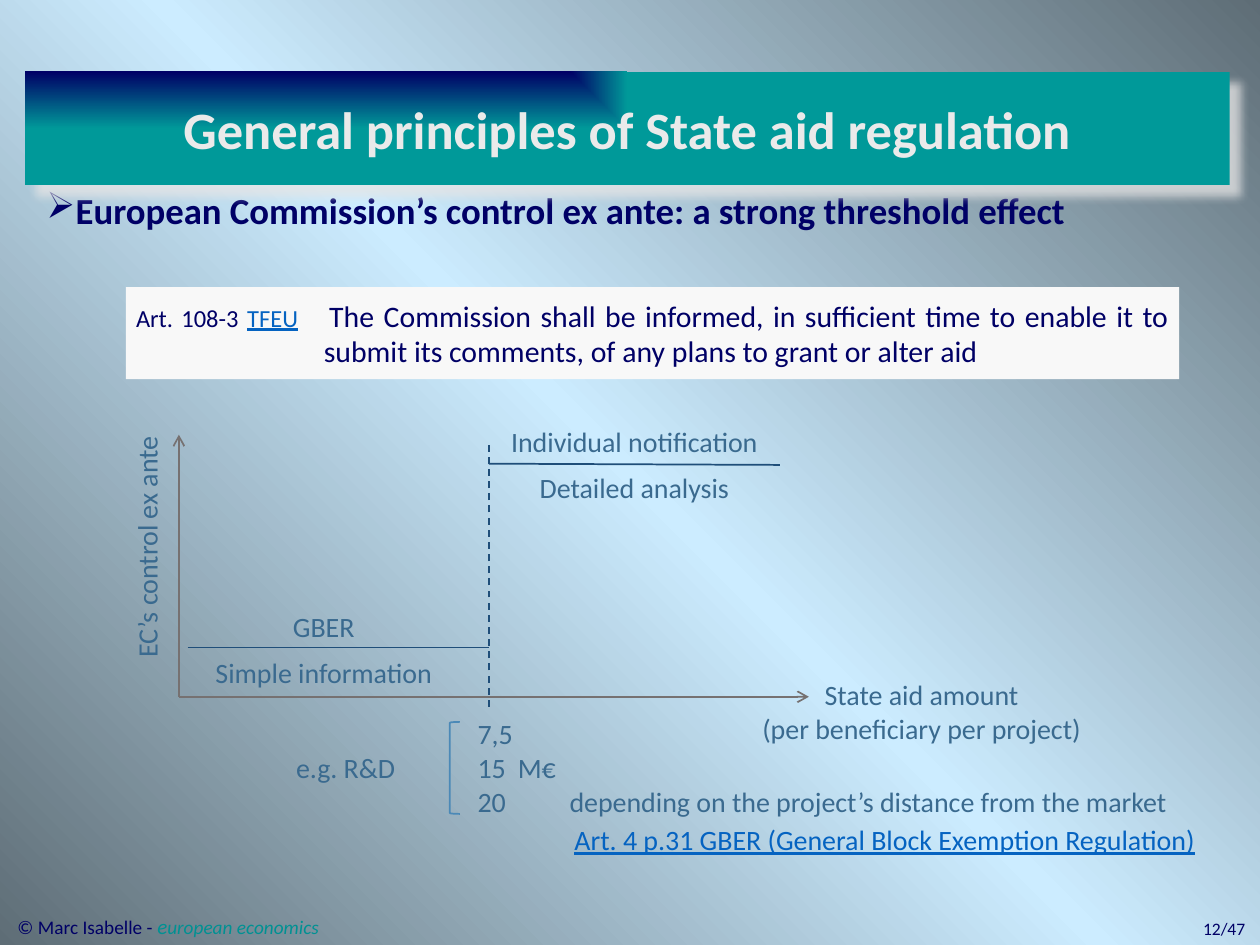
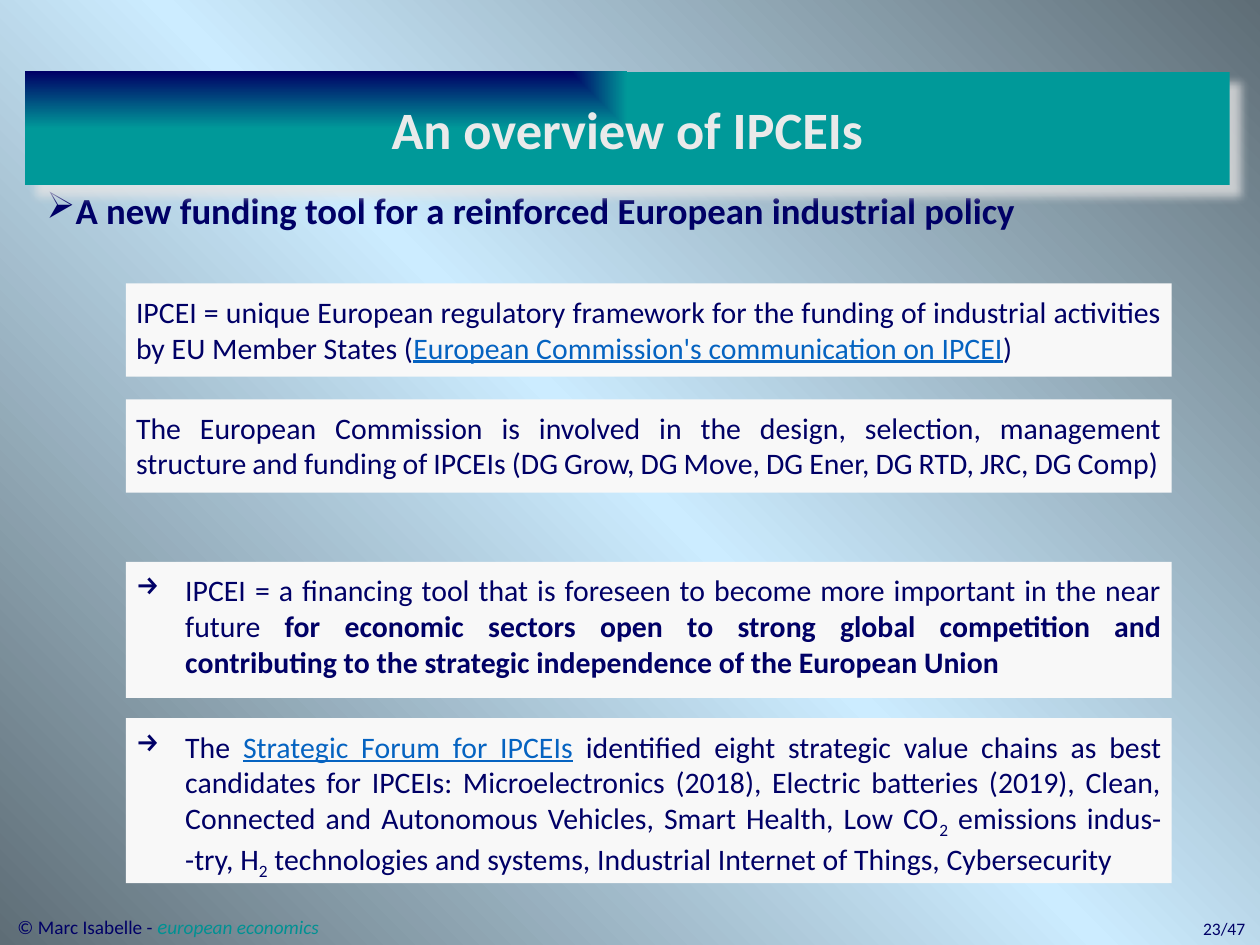
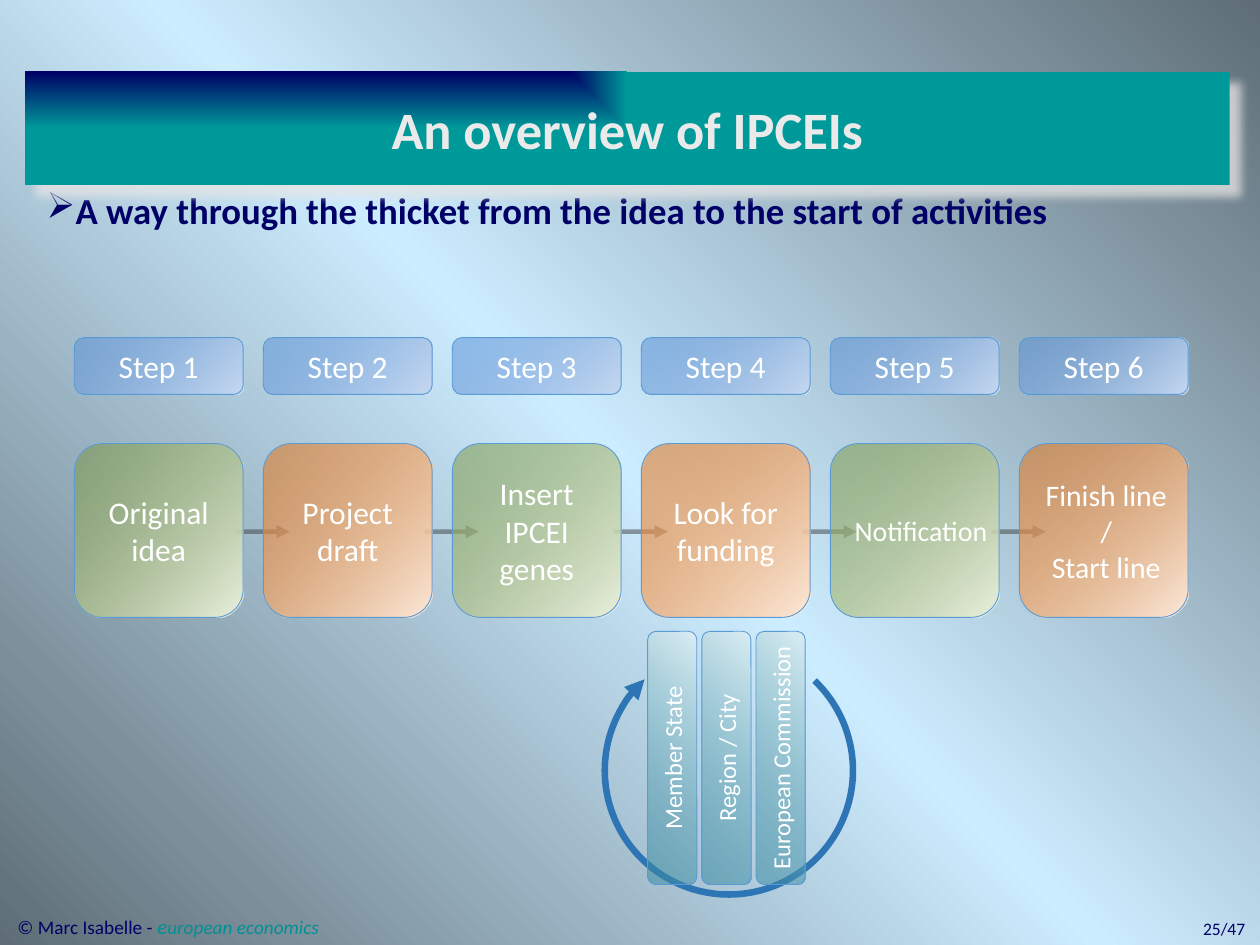
import lxml.etree
import pptx
import pptx.dml.color
import pptx.enum.dml
import pptx.enum.shapes
import pptx.enum.text
import pptx.oxml
import pptx.oxml.ns
import pptx.util

Inches = pptx.util.Inches
Pt = pptx.util.Pt
qn = pptx.oxml.ns.qn
Kind = pptx.enum.shapes.MSO_SHAPE
Align = pptx.enum.text.PP_ALIGN
Anchor = pptx.enum.text.MSO_ANCHOR
Dash = pptx.enum.dml.MSO_LINE


class Theme:
    font = "Calibri"
    navy = "000066"
    teal = "009193"
    link = "0563C1"
    chart_text = "3A6A8F"
    axis = "767171"
    level = "1F4E79"
    bracket = "4B89B7"
    card_line = "5B9BD5"
    cycle = "2E75B6"
    arrow = "404040"
    panel = "F8F8F8"
    title_text = "EAEAEA"
    shadow = "E7E6E6"
    white = "FFFFFF"
    backdrop = (315, [(0, "5E6D76", 100), (50, "CCECFF", 100), (100, "5E6D76", 100)])
    title_fill = (None, [(0, "000066", 100), (100, "009999", 100)])
    blue = (45, [(0, "558ED5", 50), (100, "C6D9F1", 100)])
    aqua = (45, [(0, "31859C", 50), (100, "DBEEF4", 100)])
    green = (45, [(0, "77933C", 50), (100, "EBF1DE", 100)])
    orange = (45, [(0, "E46C0A", 50), (100, "FDEADA", 100)])
    title_size = 30
    heading_size = 21
    step_size = 18
    body_size = 17
    narrow_size = 15
    chart_size = 16
    label_size = 14
    footer_size = 11
    number_size = 10


def paint(fill, owner, colours):
    fill.solid()
    if isinstance(colours, str):
        fill.fore_color.rgb = pptx.dml.color.RGBColor.from_string(colours)
        return
    angle, stops = colours
    stop_xml = "".join(
        f'<a:gs pos="{position * 1000}"><a:srgbClr val="{colour}"><a:alpha val="{alpha * 1000}"/></a:srgbClr></a:gs>'
        for position, colour, alpha in stops)
    if angle is None:
        shade = '<a:path path="rect"><a:fillToRect r="100000" b="100000"/></a:path>'
    else:
        shade = f'<a:lin ang="{angle * 60000}" scaled="0"/>'
    solid = next(owner.iter(qn("a:solidFill")))
    solid.getparent().replace(solid, pptx.oxml.parse_xml(
        f'<a:gradFill {pptx.oxml.ns.nsdecls("a")} rotWithShape="1"><a:gsLst>{stop_xml}</a:gsLst>{shade}</a:gradFill>'))


def place(page, kind, at, paragraphs=(), size=18, colour=Theme.navy, bold=False, fill=None, line=None,
          insets=(0.1, 0.05, 0.1, 0.05), anchor=Anchor.TOP, align=Align.LEFT, hang=None, bullet=None,
          tabs=(), rotation=0, **spacing):
    bounds = [Inches(length) for length in at]
    if kind is None:
        box = page.shapes.add_textbox(*bounds)
    else:
        box = page.shapes.add_shape(kind, *bounds)
        box.shadow.inherit = False
        if fill:
            paint(box.fill, box._element.spPr, fill)
        else:
            box.fill.background()
        if line:
            paint(box.line.fill, box.line._get_or_add_ln(), line[0])
            box.line.width = Pt(line[1])
        else:
            box.line.fill.background()
    box.rotation = rotation
    frame = box.text_frame
    left, top, right, bottom = insets
    frame_format = {"word_wrap": True, "vertical_anchor": anchor,
                    "margin_left": Inches(left), "margin_top": Inches(top),
                    "margin_right": Inches(right), "margin_bottom": Inches(bottom)}
    for name, value in frame_format.items():
        setattr(frame, name, value)
    for index, spans in enumerate(paragraphs):
        para = frame.add_paragraph() if index else frame.paragraphs[0]
        para.alignment = align
        for name, value in spacing.items():
            if index or name != "space_before":
                setattr(para, name, value)
        properties = para._p.get_or_add_pPr()
        if hang:
            properties.set("marL", str(Inches(hang[0])))
            properties.set("indent", str(Inches(hang[1])))
        if bullet:
            lxml.etree.SubElement(properties, qn("a:buChar"), char=bullet)
        if tabs:
            stops = lxml.etree.SubElement(properties, qn("a:tabLst"))
            for stop in tabs:
                lxml.etree.SubElement(stops, qn("a:tab"), pos=str(Inches(stop)), algn="l")
        for text, changes in ([(spans, {})] if isinstance(spans, str) else spans):
            if text == "\n":
                para.add_line_break()
                continue
            span = para.add_run()
            span.text = text
            span_format = {"name": Theme.font, "size": size, "bold": bold, "color": colour, **changes}
            span_format["size"] = Pt(span_format["size"])
            span.font.color.rgb = pptx.dml.color.RGBColor.from_string(span_format.pop("color"))
            if span_format.pop("subscript", False):
                span.font._element.set("baseline", "-25000")
            for name, value in span_format.items():
                setattr(span.font, name, value)
    return box


linked = {"color": Theme.link, "underline": True}
strong = {"bold": True}
subscript = {"subscript": True}
narrow = {"size": Theme.narrow_size}
inset = (0.08, 0.08, 0.08, 0.08)
card_lefts = [0.59 + 1.5 * number for number in range(6)]

pages = [
    ("General principles of State aid regulation",
     "European Commission’s control ex ante: a strong threshold effect", "12/47",
     [((1.42, 5.53), (1.42, 3.45), Theme.axis, 1, 100, Dash.SOLID, "arrow"),
      ((1.42, 5.53), (6.42, 5.53), Theme.axis, 1, 100, Dash.SOLID, "arrow"),
      ((3.88, 3.68), (6.19, 3.69), Theme.level, 1, 100, Dash.SOLID, None),
      ((3.88, 5.61), (3.88, 3.53), Theme.level, 1, 100, Dash.DASH, None),
      ((1.49, 5.14), (3.88, 5.14), Theme.level, 1, 100, Dash.SOLID, None)]),
    ("An overview of IPCEIs",
     "A new funding tool for a reinforced European industrial policy", "23/47", []),
    ("An overview of IPCEIs",
     "A way through the thicket from the idea to the start of activities", "25/47",
     [((left + 1.28, 4.22), (left + 1.71, 4.22), Theme.arrow, 2.5, 50, Dash.SOLID, "triangle")
      for left in card_lefts[:-1]]),
]

deck = pptx.Presentation()
deck.slide_width = Inches(10)
deck.slide_height = Inches(7.5)

for title, heading, number, connectors in pages:
    page = deck.slides.add_slide(deck.slide_layouts[6])
    paint(page.background.fill, page._element, Theme.backdrop)
    place(page, None, (8.79, 7.24, 1.19, 0.27), [number], Theme.number_size, align=Align.RIGHT)
    place(page, None, (0.27, 1.48, 9.05, 0.5), [heading], Theme.heading_size, bold=True,
          hang=(0.19, -0.29), bullet="➢", line_spacing=0.9)
    place(page, None, (0.04, 7.2, 3, 0.3),
          [[("© Marc Isabelle - ", {}),
            ("e", {"size": 12, "color": Theme.teal, "italic": True}),
            ("uropean economics", {"color": Theme.teal, "italic": True})]], Theme.footer_size)
    band = place(page, Kind.RECTANGLE, (0.2, 0.57, 9.56, 0.9), [title], Theme.title_size, Theme.title_text,
                 True, Theme.title_fill, insets=(0.2, 0.2, 0.2, 0.2), anchor=Anchor.MIDDLE, align=Align.CENTER)
    band._element.spPr.find(qn("a:effectLst")).append(pptx.oxml.parse_xml(
        f'<a:outerShdw {pptx.oxml.ns.nsdecls("a")} blurRad="{Pt(5)}" dist="{Pt(8.5)}" dir="2700000" algn="tl" '
        f'rotWithShape="0"><a:srgbClr val="{Theme.shadow}"><a:alpha val="75000"/></a:srgbClr></a:outerShdw>'))
    for start, end, colour, width, alpha, dash, head in connectors:
        connector = page.shapes.add_connector(
            pptx.enum.shapes.MSO_CONNECTOR.STRAIGHT, *[Inches(length) for length in start + end])
        paint(connector.line.fill, connector.line._get_or_add_ln(), colour)
        connector.line.width = Pt(width)
        connector.line.dash_style = dash
        outline = connector.line._get_or_add_ln()
        if alpha < 100:
            lxml.etree.SubElement(next(outline.iter(qn("a:srgbClr"))), qn("a:alpha"), val=str(alpha * 1000))
        if head:
            lxml.etree.SubElement(outline, qn("a:tailEnd"), type=head)
        lxml.etree.SubElement(connector._element.spPr, qn("a:effectLst"))

threshold_page, tool_page, steps_page = deck.slides

place(threshold_page, Kind.RECTANGLE, (1, 2.28, 8.36, 0.73),
      [[("Art. 108-3 ", {"size": Theme.label_size}),
        ("TFEU", {"size": Theme.label_size, **linked}),
        ("\tThe Commission shall be informed, in sufficient time to enable it to submit its comments, "
         "of any plans to grant or alter aid", {})]],
      Theme.body_size, fill=Theme.panel, insets=inset, align=Align.JUSTIFY, hang=(1.49, -1.49))

chart_labels = [
    ((5.7, 5.3, 3.23, 0.69), ["State aid amount", "(per beneficiary per project)"], 0, {"align": Align.CENTER}),
    ((0.16, 4.09, 2, 0.42), ["EC’s control ex ante"], 270, {}),
    ((1.34, 4.76, 2.46, 0.79), ["GBER", "Simple information"], 0, {"align": Align.CENTER, "space_before": Pt(7)}),
    ((3.92, 3.29, 2.23, 0.79), ["Individual notification", "Detailed analysis"], 0,
     {"align": Align.CENTER, "space_before": Pt(7)}),
    ((2.17, 5.61, 7.41, 0.96),
     ["\t\t7,5", "\te.g. R&D\t15\tM€", "\t\t20\t\tdepending on the project’s distance from the market"], 0,
     {"tabs": (0.1, 1.54, 1.86, 2.27)}),
    ((4.48, 6.45, 5.2, 0.43), [[("Art. 4 p.31 GBER (General Block Exemption Regulation)", linked)]], 0, {}),
]
for at, paragraphs, rotation, layout in chart_labels:
    place(threshold_page, None, at, paragraphs, Theme.chart_size, Theme.chart_text,
          insets=inset, rotation=rotation, **layout)
place(threshold_page, Kind.LEFT_BRACKET, (3.57, 5.73, 0.08, 0.73), line=(Theme.bracket, 1))

involvement = [("The European Commission is involved in the design, selection, management structure", {})]
for word in "and funding of IPCEIs (DG Grow, DG Move, DG Ener, DG RTD, JRC, DG Comp)".split():
    involvement += [(" ", narrow), (word, {})]

arrow_item = {"bullet": "→", "hang": (0.39, -0.39)}
panels = [
    (2.25, 0.74, {},
     [("IPCEI = unique European regulatory framework for the funding of industrial activities "
       "by EU Member States (", {}),
      ("European Commission's communication on IPCEI", linked), (")", {})]),
    (3.17, 0.74, {}, involvement),
    (4.46, 1.08, arrow_item,
     [("IPCEI = a financing tool that is foreseen to become more important in the near future ", {}),
      ("for economic sectors open to strong global competition and contributing to the strategic "
       "independence of the European Union", strong)]),
    (5.7, 1.31, arrow_item,
     [("The ", {}), ("Strategic Forum for IPCEIs", linked),
      (" identified eight strategic value chains as best candidates for IPCEIs: Microelectronics (2018), "
       "Electric batteries (2019), Clean, Connected and Autonomous Vehicles, Smart Health, Low CO", {}),
      ("2", subscript), (" emissions indus-", {}), ("\n", {}), ("-try, H", {}), ("2", subscript),
      (" technologies and systems, Industrial Internet of Things, Cybersecurity", {})]),
]
for top, height, layout, spans in panels:
    place(tool_page, Kind.RECTANGLE, (1, top, 8.3, height), [spans], Theme.body_size,
          fill=Theme.panel, insets=inset, align=Align.JUSTIFY, **layout)

cycle = place(steps_page, Kind.ARC, (4.8, 5.13, 1.97, 1.97), line=(Theme.cycle, 3.75))
cycle.adjustments[0] = 188.21
cycle.adjustments[1] = 136.34
lxml.etree.SubElement(cycle.line._get_or_add_ln(), qn("a:tailEnd"), type="triangle")

card_style = {"colour": Theme.white, "line": (Theme.card_line, 0.5),
              "anchor": Anchor.MIDDLE, "align": Align.CENTER}
even = (0.1, 0.05, 0.1, 0.05)
steps = [
    (["Original idea"], Theme.step_size, even),
    (["Project draft"], Theme.step_size, even),
    (["Insert IPCEI genes"], Theme.step_size, even),
    (["Look for funding"], Theme.step_size, even),
    (["Notification"], Theme.chart_size, (0.1, 0.05, 0, 0.05)),
    (["Finish line", "/", "Start line"], Theme.body_size, (0.04, 0.05, 0, 0.05)),
]
for index, (left, (paragraphs, size, insets)) in enumerate(zip(card_lefts, steps)):
    place(steps_page, Kind.ROUNDED_RECTANGLE, (left, 2.68, 1.34, 0.45), [f"Step {index + 1}"],
          Theme.step_size, fill=Theme.blue, **card_style)
    place(steps_page, Kind.ROUNDED_RECTANGLE, (left, 3.52, 1.34, 1.38), paragraphs, size,
          fill=(Theme.green, Theme.orange)[index % 2], insets=insets, **card_style)

for index, funder in enumerate(["Member State", "Region / City", "European Commission"]):
    place(steps_page, Kind.ROUNDED_RECTANGLE, (4.33 + 0.43 * index, 5.82, 2.01, 0.39), [funder],
          Theme.label_size, fill=Theme.aqua, rotation=270, **card_style)

deck.save("out.pptx")
